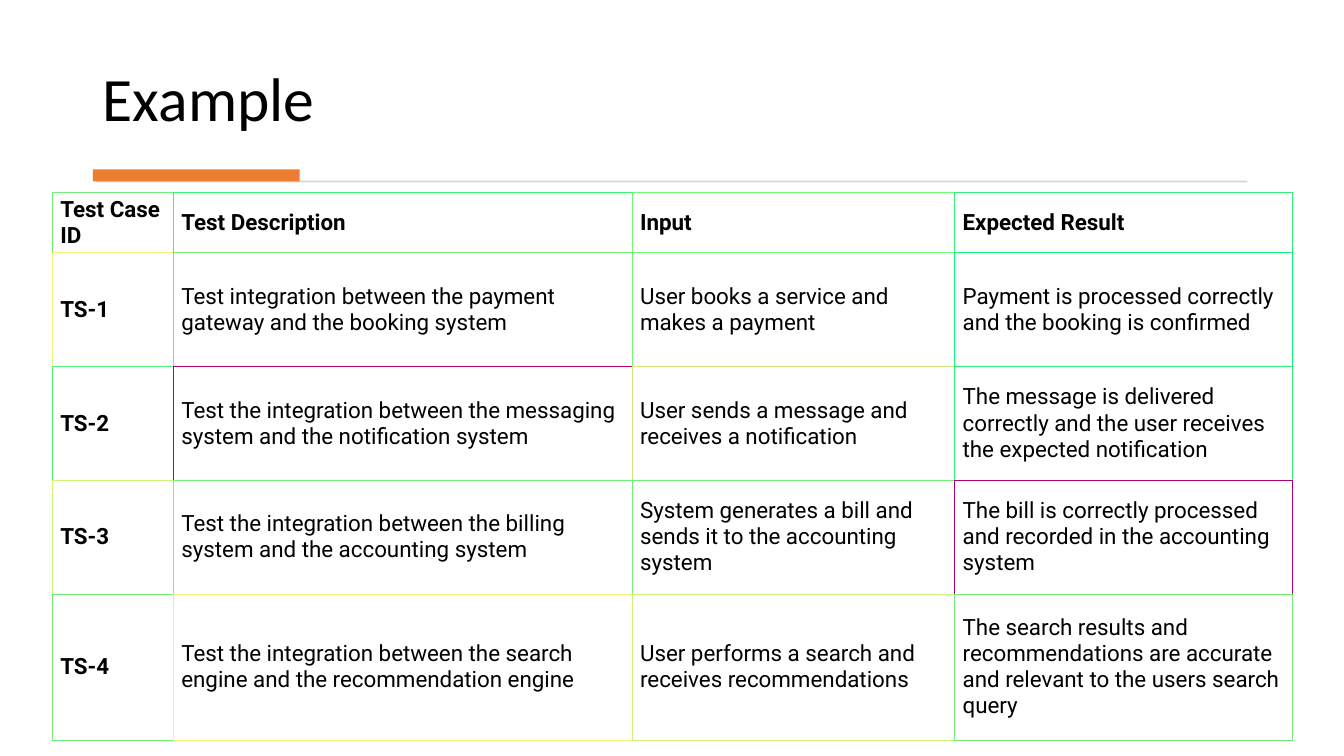
from lxml.etree import SubElement
from pptx import Presentation
from pptx.dml.color import RGBColor
from pptx.enum.shapes import MSO_SHAPE
from pptx.enum.text import MSO_ANCHOR, PP_ALIGN
from pptx.oxml.ns import qn
from pptx.util import Cm, Pt

BLACK = RGBColor(0x00, 0x00, 0x00)
GREY = RGBColor(0xD5, 0xD5, 0xD5)
ORANGE = RGBColor(0xED, 0x7D, 0x31)

TITLE = "Example"
CASES = [
    ("Test Case ID", "Test Description", "Input", "Expected Result"),
    ("TS-1", "Test integration between the payment gateway and the booking system",
     "User books a service and makes a payment",
     "Payment is processed correctly and the booking is confirmed"),
    ("TS-2", "Test the integration between the messaging system and the notification system",
     "User sends a message and receives a notification",
     "The message is delivered correctly and the user receives the expected notification"),
    ("TS-3", "Test the integration between the billing system and the accounting system",
     "System generates a bill and sends it to the accounting system",
     "The bill is correctly processed and recorded in the accounting system"),
    ("TS-4", "Test the integration between the search engine and the recommendation engine",
     "User performs a search and receives recommendations",
     "The search results and recommendations are accurate and relevant to the users search query"),
]
EDGES = [[RGBColor.from_string(code) for code in line.split()] for line in (
    "70EC77 30F977 70FB77 30F077",
    "F0F677 70EC77 70FB77 10F877",
    "50F477 B00078 D0E977 30F077",
    "D0F577 70F277 70F277 B00078",
    "70EC77 F0F677 D0F277 70EC77",
)]
WIDTHS = (3.05, 11.56, 8.13, 8.51)
HEIGHTS = (1.22, 2.87, 2.87, 2.87, 3.68)
RULES = [
    ((2.41, 4.55, 29.03, 0.05), GREY),
    ((2.34, 4.27, 5.21, 0.3), ORANGE),
]


def style(frame, font, size, bold):
    """Format every run in a text frame."""
    for par in frame.paragraphs:
        par.alignment = PP_ALIGN.LEFT
        for run in par.runs:
            run.font.name = font
            run.font.size = Pt(size)
            run.font.bold = bold
            run.font.color.rgb = BLACK


def add_title(slide):
    """Fill and place the title."""
    title = slide.shapes.title
    title.left, title.top, title.width, title.height = map(Cm, (2.34, 0.71, 29.18, 2.82))
    frame = title.text_frame
    frame.text = TITLE
    frame.vertical_anchor = MSO_ANCHOR.BOTTOM
    frame.paragraphs[0].line_spacing = 0.9
    style(frame, "Calibri", 44, False)


def add_rules(slide):
    """Draw the grey line and the orange bar under the title."""
    for place, color in RULES:
        bar = slide.shapes.add_shape(MSO_SHAPE.RECTANGLE, *map(Cm, place))
        bar.shadow.inherit = False
        bar.fill.solid()
        bar.fill.fore_color.rgb = color
        bar.line.fill.background()


def add_edges(cell, row, col):
    """Colour left and top from this cell, right and bottom from its neighbours."""
    own = EDGES[row][col]
    right = EDGES[row][min(col + 1, len(WIDTHS) - 1)]
    below = EDGES[min(row + 1, len(HEIGHTS) - 1)][col]
    props = cell._tc.get_or_add_tcPr()
    for side, color in zip("LRTB", (own, right, own, below)):
        line = SubElement(props, qn(f"a:ln{side}"), w=str(Pt(0.5)))
        fill = SubElement(line, qn("a:solidFill"))
        SubElement(fill, qn("a:srgbClr"), val=str(color))


def add_cases(slide):
    """Build the table of test cases."""
    frame = slide.shapes.add_table(len(HEIGHTS), len(WIDTHS), Cm(1.32), Cm(4.85),
                                   Cm(sum(WIDTHS)), Cm(sum(HEIGHTS)))
    table = frame.table
    table.horz_banding = False
    for col, width in enumerate(WIDTHS):
        table.columns[col].width = Cm(width)
    for row, texts in enumerate(CASES):
        table.rows[row].height = Cm(HEIGHTS[row])
        for col, text in enumerate(texts):
            cell = table.cell(row, col)
            cell.text_frame.text = text
            cell.vertical_anchor = MSO_ANCHOR.MIDDLE
            cell.margin_left = cell.margin_right = Cm(0.2)
            cell.margin_top = cell.margin_bottom = Cm(0.1)
            style(cell.text_frame, "Roboto", 16, row == 0 or col == 0)
            add_edges(cell, row, col)
            cell.fill.background()


def main():
    """Build and save the slide."""
    deck = Presentation()
    deck.slide_width, deck.slide_height = Cm(33.87), Cm(19.05)
    slide = deck.slides.add_slide(deck.slide_layouts[5])
    add_title(slide)
    add_rules(slide)
    add_cases(slide)
    deck.save("out.pptx")


if __name__ == "__main__":
    main()
